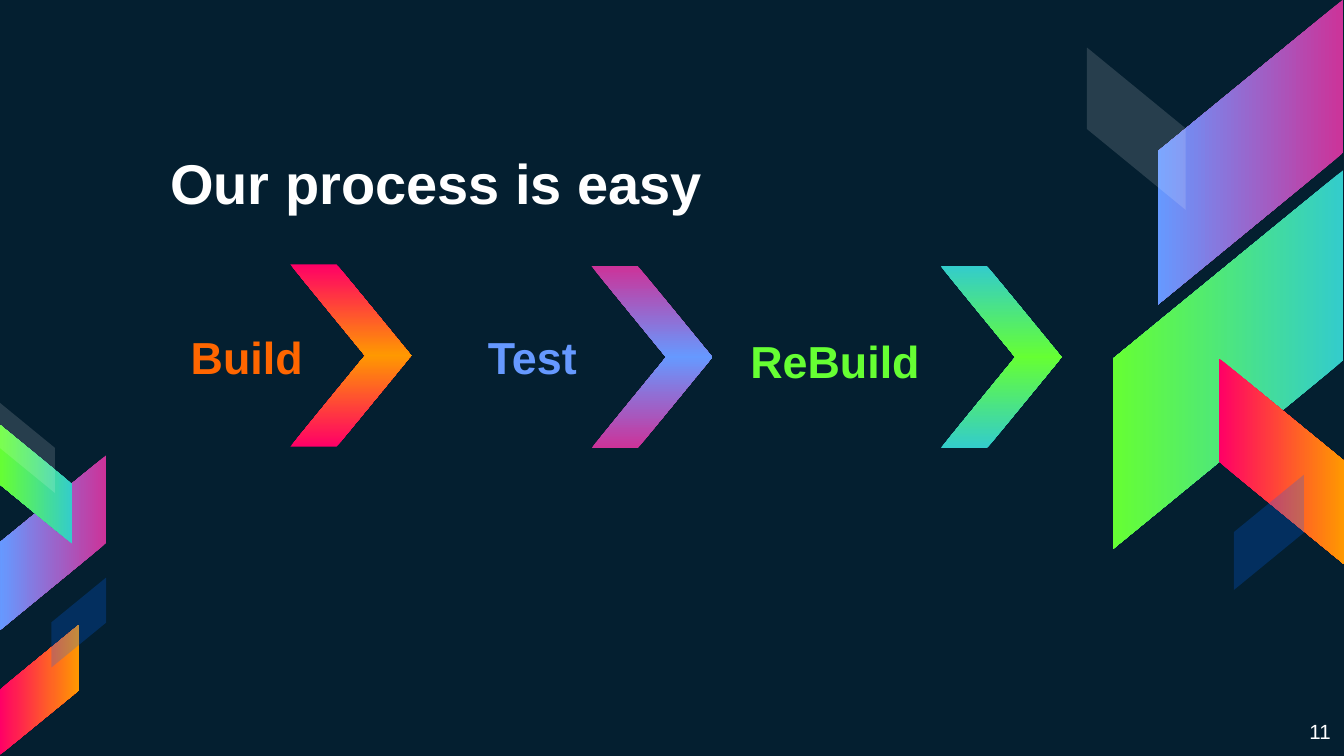
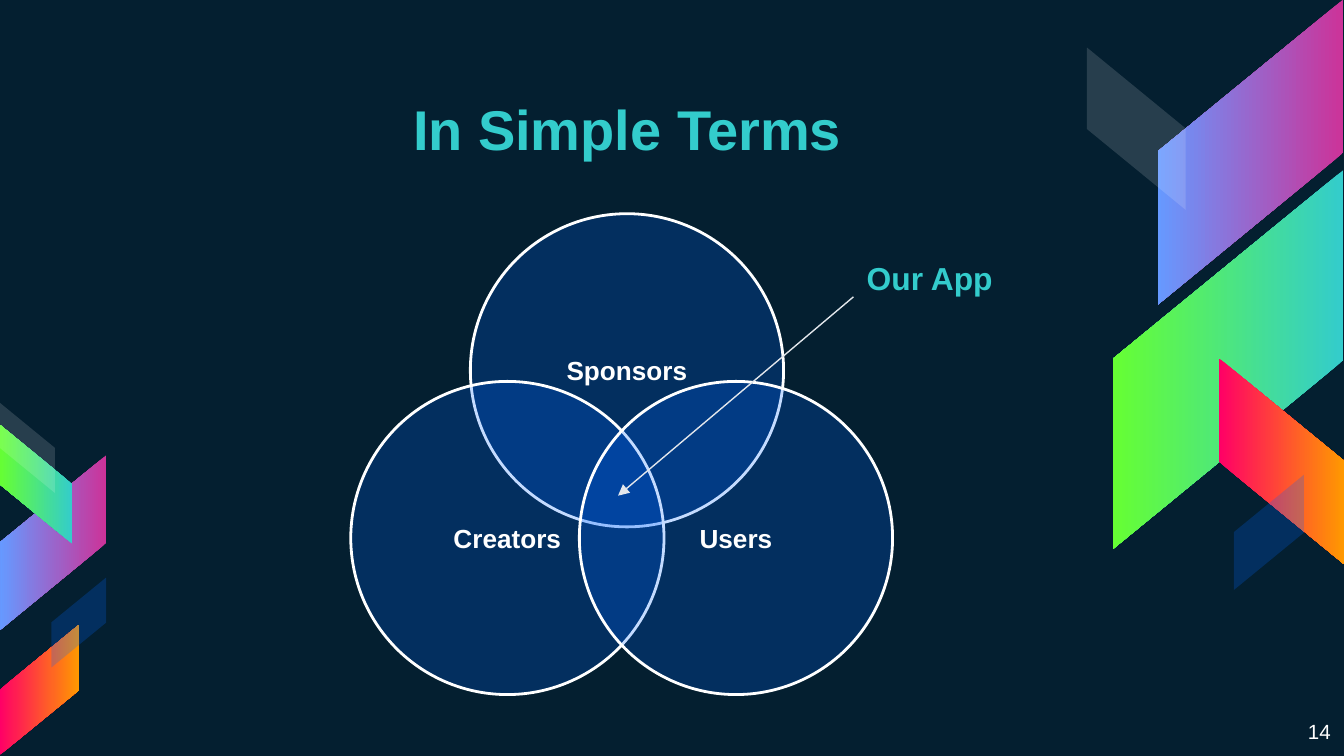
from dataclasses import dataclass

from lxml import etree
from pptx import Presentation, util as u
from pptx.dml.color import RGBColor
from pptx.enum import shapes as kinds, text as t
from pptx.oxml import ns

FONT = "Arial"
COLORS = {
    "night": "041F30", "white": "FFFFFF", "pale": "E3E7EC", "blue": "0066FF",
    "magenta": "CC3399", "sky": "6699FF", "teal": "33CCCC", "green": "66FF33",
    "red": "FF0066", "amber": "FF9900", "orange": "FF6600",
}
BERRY = ("magenta", "sky")
MINT = ("teal", "green")
FIRE = ("red", "amber")
GLASS = ("white", 14)  # colour, opacity in percent
HAZE = ("blue", 23)

SLANT = 0.819
BAND_RATIO = 0.608
INSET = u.Cm(0.25)


@dataclass(frozen=True)
class Band:
    """Upright parallelogram; sizes are in cm before rotation."""
    left: float
    top: float
    width: float
    rotation: int
    flipped: bool
    paint: tuple


@dataclass(frozen=True)
class Step:
    label: str
    color: str
    label_left: float
    label_top: float
    label_width: float
    arrow_left: float
    arrow_top: float
    paint: tuple


@dataclass(frozen=True)
class Circle:
    label: str
    left: float
    top: float


BANDS = [
    Band(20.75, 1.12, 5.77, 90, True, BERRY),
    Band(19.63, 4.62, 7.16, 90, True, MINT),
    Band(22.28, 7.54, 3.89, 270, False, FIRE),
    Band(19.94, 1.5, 3.07, 270, False, GLASS),
    Band(22.89, 9.4, 2.18, 270, True, HAZE),
    Band(-0.64, 9.25, 3.3, 90, True, BERRY),
    Band(-0.43, 8.48, 2.24, 90, False, MINT),
    Band(-0.48, 12.29, 2.46, 270, True, FIRE),
    Band(-0.33, 7.95, 1.7, 270, False, GLASS),
    Band(0.64, 11.25, 1.7, 270, True, HAZE),
]
STEPS = [
    Step("Build", "orange", 1.78, 5.03, 4.19, 5.49, 5.0, FIRE),
    Step("Test", "sky", 5.97, 5.03, 5.18, 11.18, 5.03, BERRY),
    Step("ReBuild", "green", 13.44, 5.11, 4.19, 17.78, 5.03, MINT),
]
CIRCLES = [
    Circle("Sponsors", 8.89, 4.04),
    Circle("Creators", 6.63, 7.21),
    Circle("Users", 10.95, 7.21),
]
CIRCLE_SIZE = 5.92


def rgb(name: str) -> RGBColor:
    return RGBColor.from_string(COLORS[name])


def box(left: float, top: float, width: float, height: float) -> list:
    return [u.Cm(value) for value in (left, top, width, height)]


def apply_paint(shape, paint: tuple) -> None:
    """Fill with a two-colour gradient, or a colour and its opacity."""
    first, second = paint
    if isinstance(second, str):
        shape.fill.gradient()
        shape.fill.gradient_angle = 270
        for stop, name in zip(shape.fill.gradient_stops, paint):
            stop.color.rgb = rgb(name)
    else:
        shape.fill.solid()
        shape.fill.fore_color.rgb = rgb(first)
        color = shape._element.spPr.find(".//" + ns.qn("a:srgbClr"))
        etree.SubElement(color, ns.qn("a:alpha"), val=str(second * 1000))


def add_parallelogram(slide, area: list, rotation: int, flipped: bool, paint: tuple):
    shape = slide.shapes.add_shape(kinds.MSO_SHAPE.PARALLELOGRAM, *area)
    shape.shadow.inherit = False
    shape.adjustments[0] = SLANT
    shape.rotation = rotation
    if flipped:
        shape._element.spPr.find(ns.qn("a:xfrm")).set("flipH", "1")
    apply_paint(shape, paint)
    shape.line.fill.background()
    return shape


def write(shape, text: str, size: float, color: str, bold: bool = True,
          align=t.PP_ALIGN.LEFT, anchor=t.MSO_ANCHOR.TOP) -> None:
    frame = shape.text_frame
    frame.text = text
    frame.word_wrap = True
    frame.vertical_anchor = anchor
    frame.margin_left = frame.margin_right = INSET
    frame.margin_top = frame.margin_bottom = INSET
    paragraph = frame.paragraphs[0]
    paragraph.alignment = align
    font = paragraph.runs[0].font
    font.name, font.size, font.bold = FONT, u.Pt(size), bold
    font.color.rgb = rgb(color)


def add_text(slide, area: list, *content, **style) -> None:
    write(slide.shapes.add_textbox(*area), *content, **style)


def add_title(slide, text: str, left: float, top: float, color: str, align) -> None:
    add_text(slide, box(left, top, 16.59, 1.78), text, 30, color,
             align=align, anchor=t.MSO_ANCHOR.BOTTOM)


def add_page_number(slide, number: int) -> None:
    add_text(slide, box(23.77, 13.36, 1.63, 0.91), str(number), 11, "white",
             bold=False, align=t.PP_ALIGN.RIGHT)


def add_step(slide, step: Step) -> None:
    width, half, overlap = 2.29, 1.73, 0.02
    lower_top = step.arrow_top + half - overlap
    add_parallelogram(slide, box(step.arrow_left, step.arrow_top, width, half),
                      0, True, step.paint)
    add_parallelogram(slide, box(step.arrow_left, lower_top, width, half),
                      180, False, step.paint)
    add_text(slide, box(step.label_left, step.label_top, step.label_width, 3.43),
             step.label, 24, step.color,
             align=t.PP_ALIGN.RIGHT, anchor=t.MSO_ANCHOR.MIDDLE)


def add_circle(slide, circle: Circle) -> None:
    area = box(circle.left, circle.top, CIRCLE_SIZE, CIRCLE_SIZE)
    shape = slide.shapes.add_shape(kinds.MSO_SHAPE.OVAL, *area)
    shape.shadow.inherit = False
    apply_paint(shape, HAZE)
    shape.line.color.rgb = rgb("white")
    shape.line.width = u.Pt(1.5)
    write(shape, circle.label, 14, "white",
          align=t.PP_ALIGN.CENTER, anchor=t.MSO_ANCHOR.MIDDLE)


def add_arrow(slide, start: tuple, end: tuple) -> None:
    ends = [u.Cm(value) for value in (*start, *end)]
    arrow = slide.shapes.add_connector(kinds.MSO_CONNECTOR.STRAIGHT, *ends)
    arrow.line.color.rgb = rgb("pale")
    arrow.line.width = u.Pt(0.75)
    etree.SubElement(arrow.line._get_or_add_ln(), ns.qn("a:tailEnd"), type="triangle")
    etree.SubElement(arrow._element.spPr, ns.qn("a:effectLst"))


def decorate_layout(layout, slide) -> None:
    """Set the background and move the bands, drawn on slide, to the layout."""
    layout.background.fill.solid()
    layout.background.fill.fore_color.rgb = rgb("night")
    for band in BANDS:
        area = box(band.left, band.top, band.width, band.width * BAND_RATIO)
        shape = add_parallelogram(slide, area, band.rotation, band.flipped, band.paint)
        layout.shapes._spTree.append(shape._element)


def build_process(slide) -> None:
    add_title(slide, "Our process is easy", 2.97, 2.54, "white", t.PP_ALIGN.LEFT)
    for step in STEPS:
        add_step(slide, step)
    add_page_number(slide, 11)


def build_terms(slide) -> None:
    add_title(slide, "In Simple Terms", 3.56, 1.52, "teal", t.PP_ALIGN.CENTER)
    for circle in CIRCLES:
        add_circle(slide, circle)
    add_page_number(slide, 14)
    add_arrow(slide, (16.13, 5.61), (11.68, 9.37))
    add_text(slide, box(16.13, 4.65, 5, 1.24), "Our App", 17, "teal")


def main() -> None:
    presentation = Presentation()
    presentation.slide_width = u.Cm(25.4)
    presentation.slide_height = u.Cm(14.29)
    blank = presentation.slide_layouts[6]
    process = presentation.slides.add_slide(blank)
    decorate_layout(blank, process)
    build_process(process)
    build_terms(presentation.slides.add_slide(blank))
    presentation.save("out.pptx")


if __name__ == "__main__":
    main()
